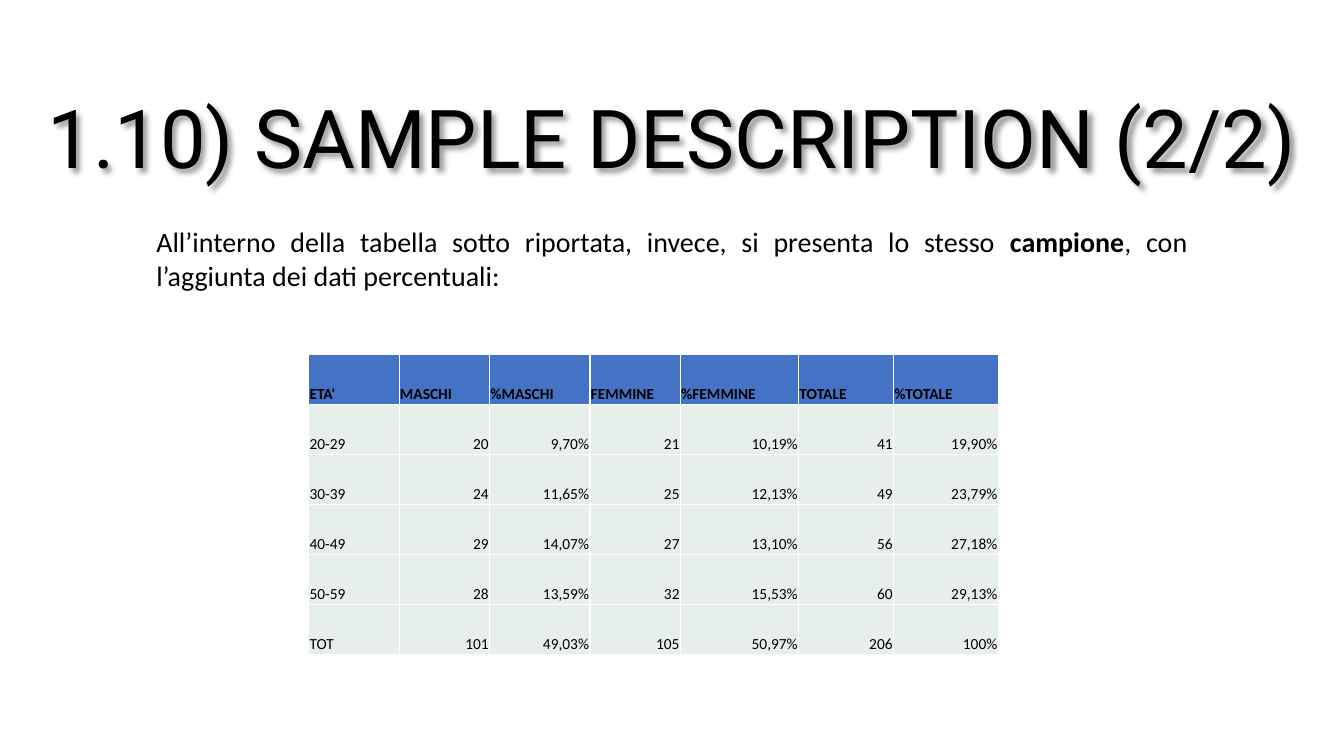
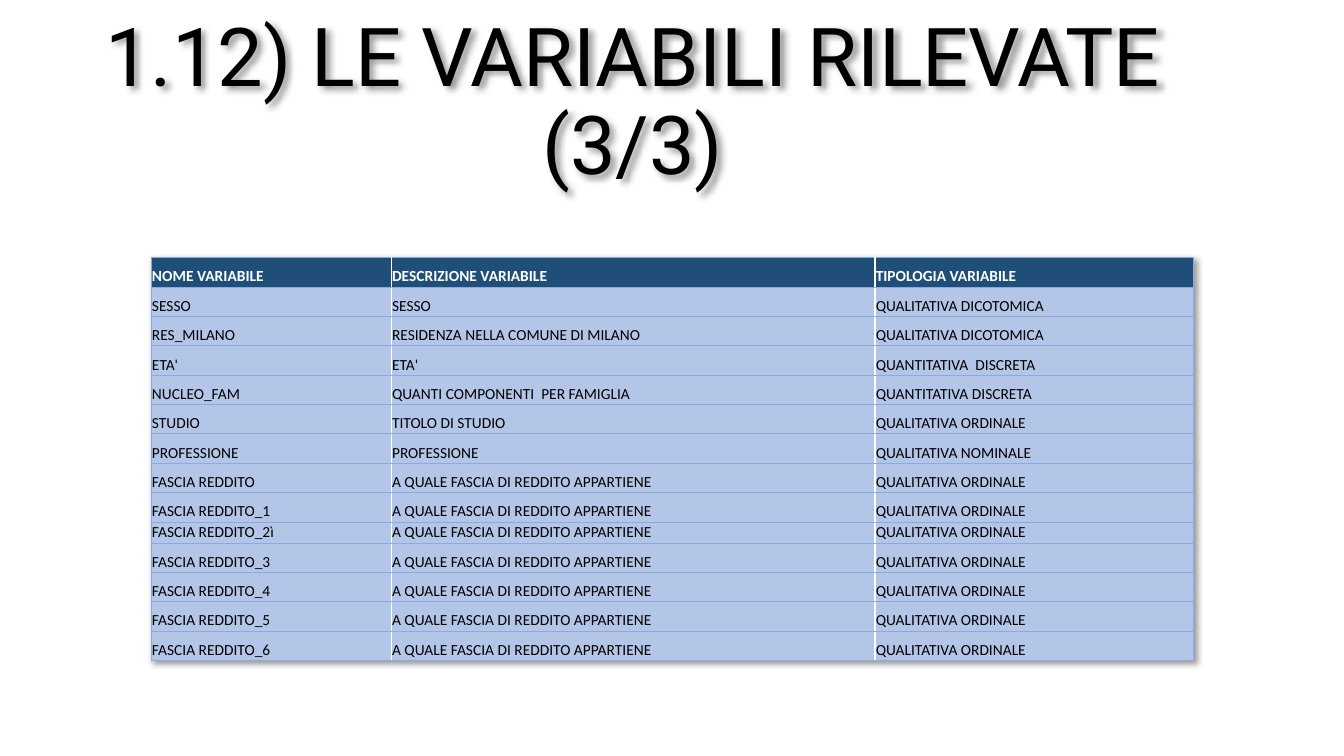
import pptx
import pptx.dml.color
import pptx.enum.text
import pptx.oxml
import pptx.oxml.ns
import pptx.util

Cm = pptx.util.Cm
Pt = pptx.util.Pt
RGBColor = pptx.dml.color.RGBColor
Align = pptx.enum.text.PP_ALIGN
Anchor = pptx.enum.text.MSO_ANCHOR

BLACK = RGBColor(0x00, 0x00, 0x00)
WHITE = RGBColor(0xFF, 0xFF, 0xFF)
BLUE = RGBColor(0x44, 0x72, 0xC4)
PALE_GREEN = RGBColor(0xE7, 0xEF, 0xEB)
NAVY = RGBColor(0x1F, 0x4E, 0x78)
PALE_BLUE = RGBColor(0xB4, 0xC6, 0xE7)
RULE_BLUE = RGBColor(0x8E, 0xA9, 0xDB)

TITLE_FONT = "Roboto"
BODY_FONT = "Calibri"
TEXT_INSET = Cm(0.13)
CELL_INSET = Cm(0.02)

INTRO = [
    ("All’interno della tabella sotto riportata, invece, si presenta lo stesso ", False),
    ("campione", True),
    (", con l’aggiunta dei dati percentuali:", False),
]

SAMPLE = [
    ("ETA'", "MASCHI", "%MASCHI", "FEMMINE", "%FEMMINE", "TOTALE", "%TOTALE"),
    ("20-29", "20", "9,70%", "21", "10,19%", "41", "19,90%"),
    ("30-39", "24", "11,65%", "25", "12,13%", "49", "23,79%"),
    ("40-49", "29", "14,07%", "27", "13,10%", "56", "27,18%"),
    ("50-59", "28", "13,59%", "32", "15,53%", "60", "29,13%"),
    ("TOT", "101", "49,03%", "105", "50,97%", "206", "100%"),
]

INCOME = "A QUALE FASCIA DI REDDITO APPARTIENE"
ORDINAL = "QUALITATIVA ORDINALE"
VARIABLES = [
    ("NOME VARIABILE", "DESCRIZIONE VARIABILE", "TIPOLOGIA VARIABILE"),
    ("SESSO", "SESSO", "QUALITATIVA DICOTOMICA"),
    ("RES_MILANO", "RESIDENZA NELLA COMUNE DI MILANO", "QUALITATIVA DICOTOMICA"),
    ("ETA'", "ETA'", "QUANTITATIVA  DISCRETA"),
    ("NUCLEO_FAM", "QUANTI COMPONENTI  PER FAMIGLIA", "QUANTITATIVA DISCRETA"),
    ("STUDIO", "TITOLO DI STUDIO", ORDINAL),
    ("PROFESSIONE", "PROFESSIONE", "QUALITATIVA NOMINALE"),
] + [
    ("FASCIA REDDITO" + suffix, INCOME, ORDINAL)
    for suffix in ("", "_1", "_2ì", "_3", "_4", "_5", "_6")
]

SAMPLE_STYLE = {
    "header_fill": BLUE, "header_color": BLACK, "body_fill": PALE_GREEN,
    "outer": (WHITE, 1), "horizontal": (WHITE, 1), "figures": Align.RIGHT,
}
VARIABLES_STYLE = {
    "header_fill": NAVY, "header_color": WHITE, "body_fill": PALE_BLUE,
    "outer": (RULE_BLUE, 0.5), "horizontal": (RULE_BLUE, 0.5), "figures": Align.LEFT,
}
INNER_VERTICAL = (WHITE, 1)


def shadow_effect():
    return pptx.oxml.parse_xml(
        f'<a:effectLst {pptx.oxml.ns.nsdecls("a")}>'
        '<a:outerShdw blurRad="50800" dist="38100" dir="2700000" algn="tl" rotWithShape="0">'
        '<a:srgbClr val="000000"><a:alpha val="40000"/></a:srgbClr>'
        '</a:outerShdw></a:effectLst>'
    )


def set_insets(frame, inset):
    frame.margin_left = frame.margin_right = inset
    frame.margin_top = frame.margin_bottom = inset


def style_font(font, name, size, color, bold=False):
    font.name = name
    font.size = Pt(size)
    font.color.rgb = color
    font.bold = bold


def add_titled_slide(deck, heading, left, top, width):
    slide = deck.slides.add_slide(deck.slide_layouts[5])
    title = slide.shapes.title
    title.left, title.top, title.width, title.height = Cm(left), Cm(top), Cm(width), Cm(2.57)
    frame = title.text_frame
    frame.text = heading
    frame.word_wrap = True
    frame.auto_size = pptx.enum.text.MSO_AUTO_SIZE.NONE
    frame.vertical_anchor = Anchor.BOTTOM
    set_insets(frame, TEXT_INSET)
    paragraph = frame.paragraphs[0]
    paragraph.alignment = Align.CENTER
    paragraph.line_spacing = 0.9
    style_font(paragraph.runs[0].font, TITLE_FONT, 58, BLACK)
    title._element.spPr.append(shadow_effect())
    return slide


def add_intro(slide):
    intro = slide.shapes.add_textbox(Cm(3.81), Cm(5.54), Cm(26.24), Cm(1.96))
    frame = intro.text_frame
    frame.word_wrap = True
    set_insets(frame, TEXT_INSET)
    paragraph = frame.paragraphs[0]
    paragraph.alignment = Align.JUSTIFY
    for words, bold in INTRO:
        run = paragraph.add_run()
        run.text = words
        style_font(run.font, BODY_FONT, 20, BLACK, bold)


def set_borders(cell, borders):
    properties = cell._tc.get_or_add_tcPr()
    for side, (color, points) in borders.items():
        properties.append(pptx.oxml.parse_xml(
            f'<a:ln{side} {pptx.oxml.ns.nsdecls("a")} w="{Pt(points)}">'
            f'<a:solidFill><a:srgbClr val="{color}"/></a:solidFill></a:ln{side}>'
        ))


def add_grid(slide, rows, left, top, widths, heights, style):
    last = len(widths) - 1
    frame = slide.shapes.add_table(
        len(rows), len(widths), Cm(left), Cm(top), Cm(sum(widths)), Cm(sum(heights)))
    grid = frame.table
    for column, width in zip(grid.columns, widths):
        column.width = Cm(width)
    for r, (row, height) in enumerate(zip(rows, heights)):
        grid.rows[r].height = Cm(height)
        header = r == 0
        for c, words in enumerate(row):
            cell = grid.cell(r, c)
            set_borders(cell, {
                "L": style["outer"] if c == 0 else INNER_VERTICAL,
                "R": style["outer"] if c == last else INNER_VERTICAL,
                "T": style["horizontal"],
                "B": style["horizontal"],
            })
            cell.fill.solid()
            cell.fill.fore_color.rgb = style["header_fill" if header else "body_fill"]
            cell.vertical_anchor = Anchor.BOTTOM
            set_insets(cell, CELL_INSET)
            cell.text_frame.text = words
            paragraph = cell.text_frame.paragraphs[0]
            paragraph.alignment = Align.LEFT if header or c == 0 else style["figures"]
            color = style["header_color"] if header else BLACK
            style_font(paragraph.runs[0].font, BODY_FONT, 11, color, header)
    return grid


def main():
    deck = pptx.Presentation()
    deck.slide_width, deck.slide_height = Cm(33.87), Cm(19.05)

    sample = add_titled_slide(deck, "1.10) SAMPLE DESCRIPTION (2/2)", 0.86, 2.24, 32.13)
    add_intro(sample)
    add_grid(sample, SAMPLE, 7.78, 8.94, [2.28, 2.28, 2.53, 2.28, 2.98, 2.39, 2.64],
             [1.26] * len(SAMPLE), SAMPLE_STYLE)

    variables = add_titled_slide(deck, "1.12) LE VARIABILI RILEVATE (3/3)", 1.96, 2.39, 27.97)
    heights = [0.53 if name.endswith("_2ì") else 0.74 for name, _, _ in VARIABLES]
    grid = add_grid(variables, VARIABLES, 3.81, 6.49, [6.05, 12.19, 8.03],
                    heights, VARIABLES_STYLE)
    grid._tbl.tblPr.insert(0, shadow_effect())

    deck.save("out.pptx")


if __name__ == "__main__":
    main()
